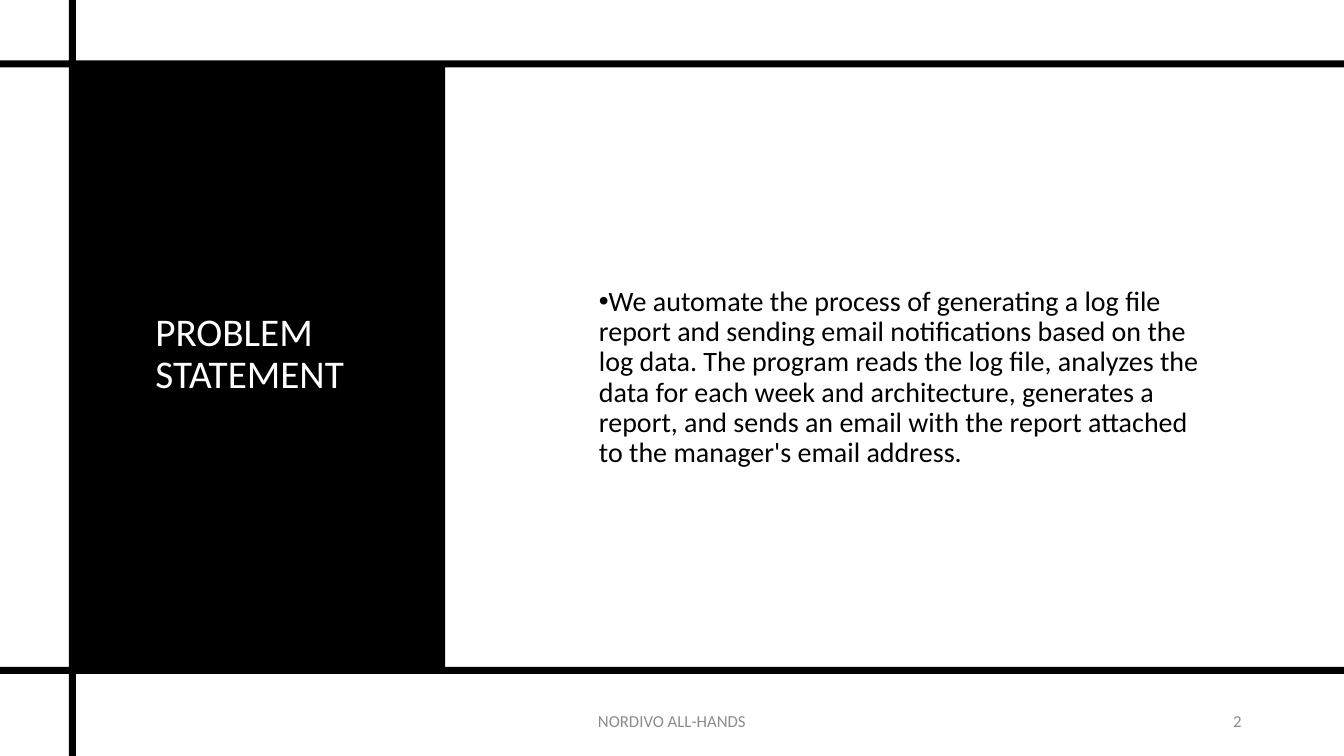
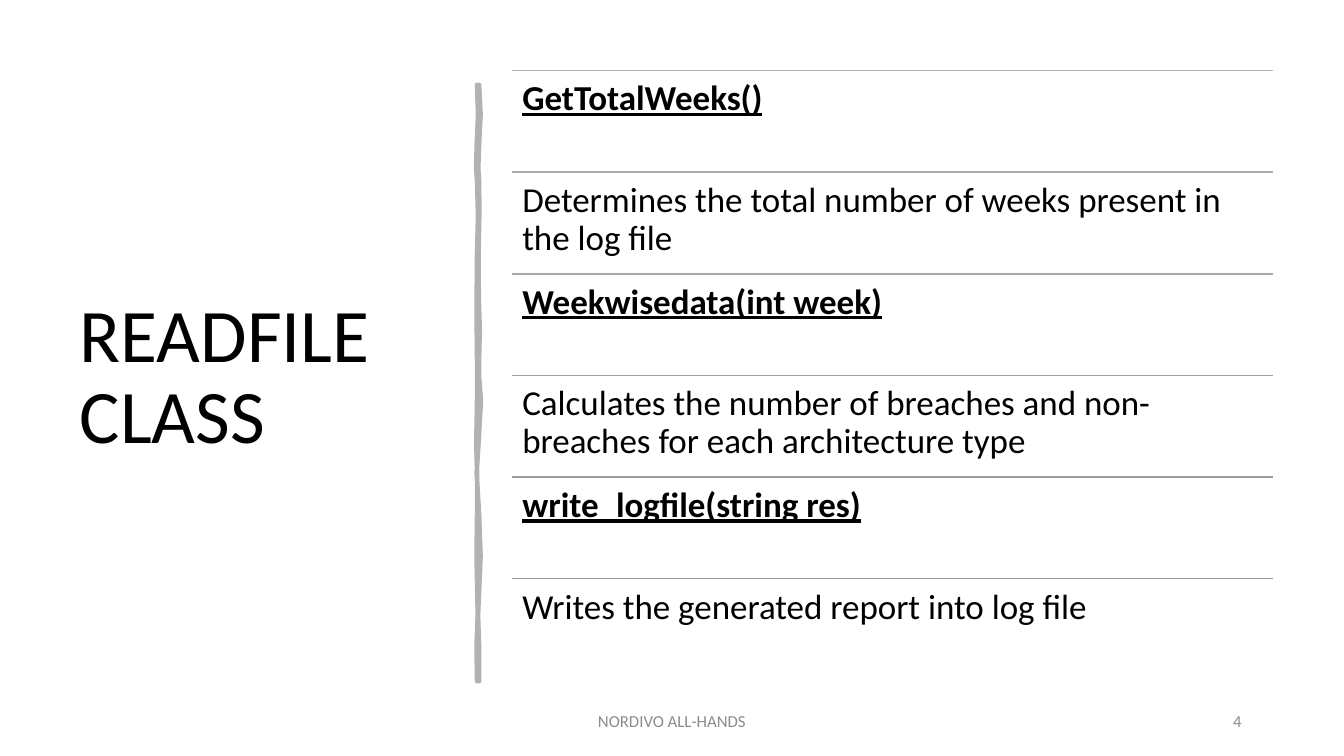
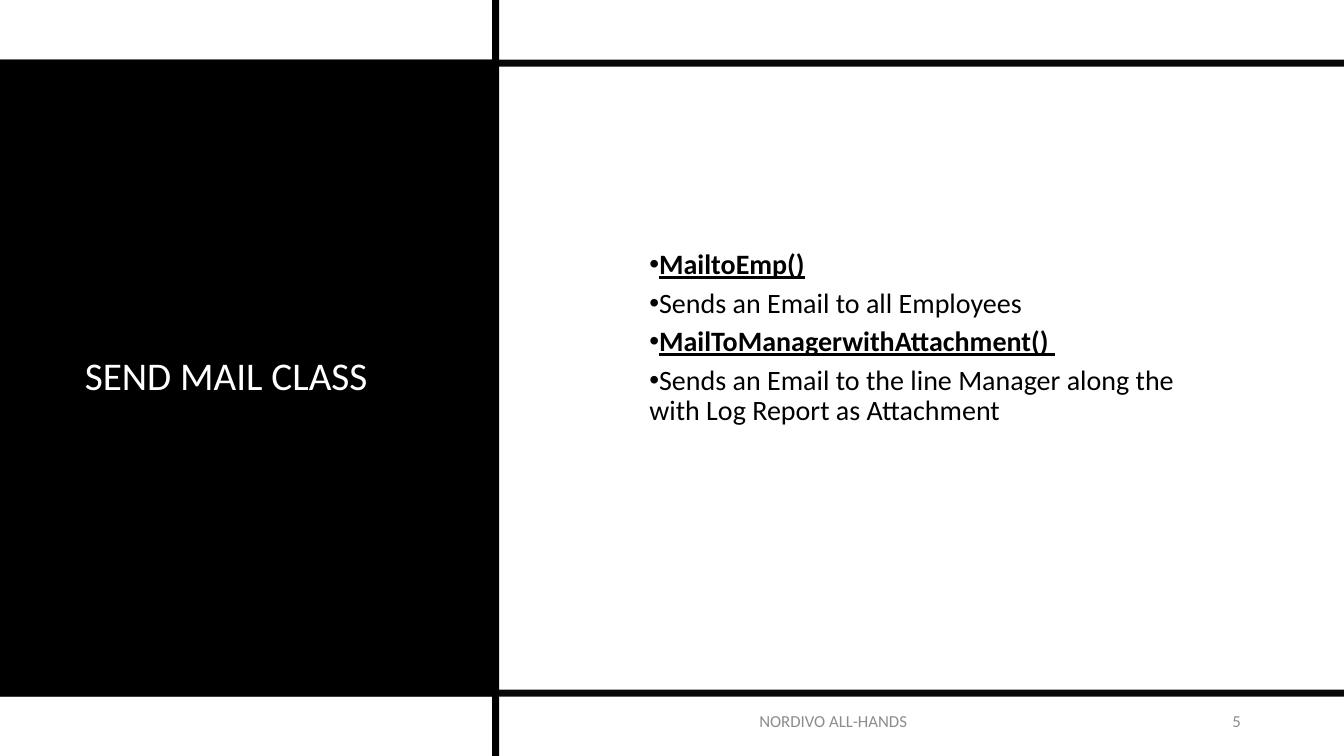
import lxml.etree
import pptx
import pptx.dml.color
import pptx.enum.shapes
import pptx.enum.text
import pptx.oxml.ns
import pptx.util

Rgb = pptx.dml.color.RGBColor
Align = pptx.enum.text.PP_ALIGN
Anchor = pptx.enum.text.MSO_ANCHOR
qn = pptx.oxml.ns.qn

# The slide is a grid of 160 columns by 90 rows of square cells.
COLS, ROWS = 160, 90
CELL = pptx.util.Inches(1) / 12
THICK = 0.84

BLACK = Rgb(0, 0, 0)
WHITE = Rgb(255, 255, 255)
GREY = Rgb(0x8C, 0x8C, 0x8C)
SILVER = Rgb(0xB2, 0xB2, 0xB2)
RULES = [Rgb(*[0xB2 - round(5.6 * i)] * 3) for i in range(6)]

FONT = {"name": "Calibri", "bold": False, "underline": False}
HEAD = {"bold": True, "underline": True}
FOOT = {"size": pptx.util.Pt(12), "color": GREY}
LIST = {"size": pptx.util.Pt(20), "color": BLACK}
ROW = {"size": pptx.util.Pt(25), "color": BLACK}
PARA = {"space_before": pptx.util.Pt(0), "space_after": pptx.util.Pt(6),
        "line_spacing": 0.9, "alignment": Align.LEFT}

# Share of the height, then left and right edge in hundredths of an inch.
WAVE = [
    (0, 0, 2), (0.05, 1, 3.5), (0.1, -0.3, 2), (0.14, -1, 1.2),
    (0.16, 0, 2), (0.21, 0.8, 2.3), (0.24, 0.7, 2), (0.28, 0, 1.5),
    (0.36, -0.4, 1.7), (0.41, -0.3, 2.7), (0.46, 0, 2), (0.49, 0, 2),
    (0.53, 0, 3.8), (0.6, -0.8, 1.5), (0.65, 0, -0.4), (0.72, 0, 2),
    (0.79, -0.5, 3.5), (0.85, 0.2, 2), (0.89, 0.7, 1), (0.94, -0.5, 2),
    (1, 0, 2),
]


def emu(*cells):
    return [round(cell * CELL) for cell in cells]


def apply(item, fmt):
    for key, value in fmt.items():
        setattr(item, key, value)


def write(shape, lines, fmt, anchor=Anchor.MIDDLE, **para):
    """Fill a shape with (text, extra font values) lines."""
    frame = shape.text_frame
    apply(frame, {"word_wrap": True, "vertical_anchor": anchor,
                  "auto_size": pptx.enum.text.MSO_AUTO_SIZE.NONE})
    for i, (text, extra) in enumerate(lines):
        p = frame.add_paragraph() if i else frame.paragraphs[0]
        apply(p, {**PARA, **para})
        run = p.add_run()
        run.text = text
        values = {**FONT, **fmt, **extra}
        run.font.color.rgb = values.pop("color")
        apply(run.font, values)


def place(shape, box):
    apply(shape, dict(zip(("left", "top", "width", "height"), emu(*box))))


def title(slide, box, text, size, color):
    shape = slide.shapes.title
    place(shape, box)
    write(shape, [(text, {})], {"size": pptx.util.Pt(size), "color": color})


def bullets(slide, box, lines):
    shape = slide.placeholders[1]
    place(shape, box)
    write(shape, lines, LIST)
    for p in shape.text_frame.paragraphs:
        props = p._p.get_or_add_pPr()
        props.set("marL", "0")
        props.set("indent", str(-pptx.util.Inches(0.25)))
        lxml.etree.SubElement(props, qn("a:buChar")).set("char", "•")


def block(slide, box, alpha=100):
    kind = pptx.enum.shapes.MSO_SHAPE.RECTANGLE
    shape = slide.shapes.add_shape(kind, *emu(*box))
    shape.shadow.inherit = False
    shape.fill.solid()
    shape.fill.fore_color.rgb = BLACK
    shape.line.fill.background()
    if alpha < 100:
        color = shape._element.spPr.find(".//" + qn("a:srgbClr"))
        node = lxml.etree.SubElement(color, qn("a:alpha"))
        node.set("val", str(alpha * 1000))
    return shape


def panel(slide, box):
    """Black block behind the placeholders."""
    slide.shapes._spTree.insert(2, block(slide, box)._element)


def bars(slide, col, rows, alpha=100):
    """Two bars across the slide and one from top to bottom."""
    for row in rows:
        block(slide, (0, row, COLS, THICK), alpha)
    block(slide, (col, 0, THICK, ROWS))


def label(slide, box, text, fmt, **para):
    shape = slide.shapes.add_textbox(*emu(*box))
    write(shape, [(text, {})], fmt, **para)
    return shape


def footer(slide, number, col=53, wide=54, start=113, span=36):
    parts = [(col, wide, "NORDIVO ALL-HANDS", Align.CENTER),
             (start, span, str(number), Align.RIGHT)]
    for left, width, text, align in parts:
        label(slide, (left, 83.4, width, 4.8), text, FOOT,
              alignment=align, line_spacing=1.0)


def wave(slide, box):
    """Hand-drawn upright divider."""
    left, top, _, high = emu(*box)
    inch = pptx.util.Inches(0.01)

    def point(x, share):
        return round(left + x * inch), round(top + share * high)

    rights = [point(r, s) for s, _, r in WAVE]
    lefts = [point(l, s) for s, l, _ in reversed(WAVE)]
    pen = slide.shapes.build_freeform(*rights[0])
    pen.add_line_segments(rights[1:] + lefts, close=True)
    shape = pen.convert_to_shape()
    shape.shadow.inherit = False
    shape.fill.solid()
    shape.fill.fore_color.rgb = SILVER
    shape.line.color.rgb = SILVER
    shape.line.width = pptx.util.Pt(3.25)


def methods(slide, box, lines):
    """Equal rows, each with a rule on top."""
    left, top, width, high = box
    step = high / len(lines)
    kind = pptx.enum.shapes.MSO_CONNECTOR.STRAIGHT
    for i, ((text, extra), color) in enumerate(zip(lines, RULES)):
        y = top + i * step
        rule = slide.shapes.add_connector(kind, *emu(left, y, left + width, y))
        rule.line.color.rgb = color
        rule.line.width = pptx.util.Pt(1)
        lxml.etree.SubElement(rule._element.spPr, qn("a:effectLst"))
        shape = label(slide, (left, y, width, step), text, {**ROW, **extra},
                      anchor=Anchor.TOP)
        pad = pptx.util.Inches(0.1)
        apply(shape.text_frame, {"margin_" + side: pad for side in
                                 ("left", "top", "right", "bottom")})


def problem(slide):
    panel(slide, (8.6, 8, 44.4, 71.4))
    title(slide, (17.3, 13.2, 26.6, 58.1), "PROBLEM STATEMENT", 28, WHITE)
    bullets(slide, (70.1, 16.9, 76.1, 56.2), [
        ("We automate the process of generating a log file report and sending "
         "email notifications based on the log data. The program reads the "
         "log file, analyzes the data for each week and architecture, "
         "generates a report, and sends an email with the report attached to "
         "the manager's email address.", {})])
    bars(slide, 8.2, (79.4, 7.2))
    footer(slide, 2)


def reader(slide):
    title(slide, (8.3, 8.4, 44.9, 73.3), "READFILE CLASS", 54, BLACK)
    wave(slide, (56.8, 10.1, 0.24, 71))
    footer(slide, 4)
    methods(slide, (61, 8.4, 90.6, 72.6), [
        ("GetTotalWeeks()", HEAD),
        ("Determines the total number of weeks present in the log file", {}),
        ("Weekwisedata(int week)", HEAD),
        ("Calculates the number of breaches and non-breaches for each "
         "architecture type", {}),
        ("write_logfile(string res)", HEAD),
        ("Writes the generated report into log file", {})])


def mailer(slide):
    panel(slide, (0, 7.1, 59.4, 75.8))
    title(slide, (8.9, 19.1, 40.7, 51.7), "SEND MAIL CLASS", 28, WHITE)
    bullets(slide, (76.1, 19.1, 70.1, 42.4), [
        ("MailtoEmp()", HEAD),
        ("Sends an Email to all Employees", {}),
        ("MailToManagerwithAttachment() ", HEAD),
        ("Sends an Email to the line Manager along the with Log Report as "
         "Attachment", {})])
    bars(slide, 58.6, (7.1, 82.1), 97)
    footer(slide, 5, 68.3, 61.8, 133.9, 15)


def main():
    deck = pptx.Presentation()
    deck.slide_width, deck.slide_height = emu(COLS, ROWS)
    for draw, layout in ((problem, 1), (reader, 5), (mailer, 1)):
        draw(deck.slides.add_slide(deck.slide_layouts[layout]))
    deck.save("out.pptx")


if __name__ == "__main__":
    main()
